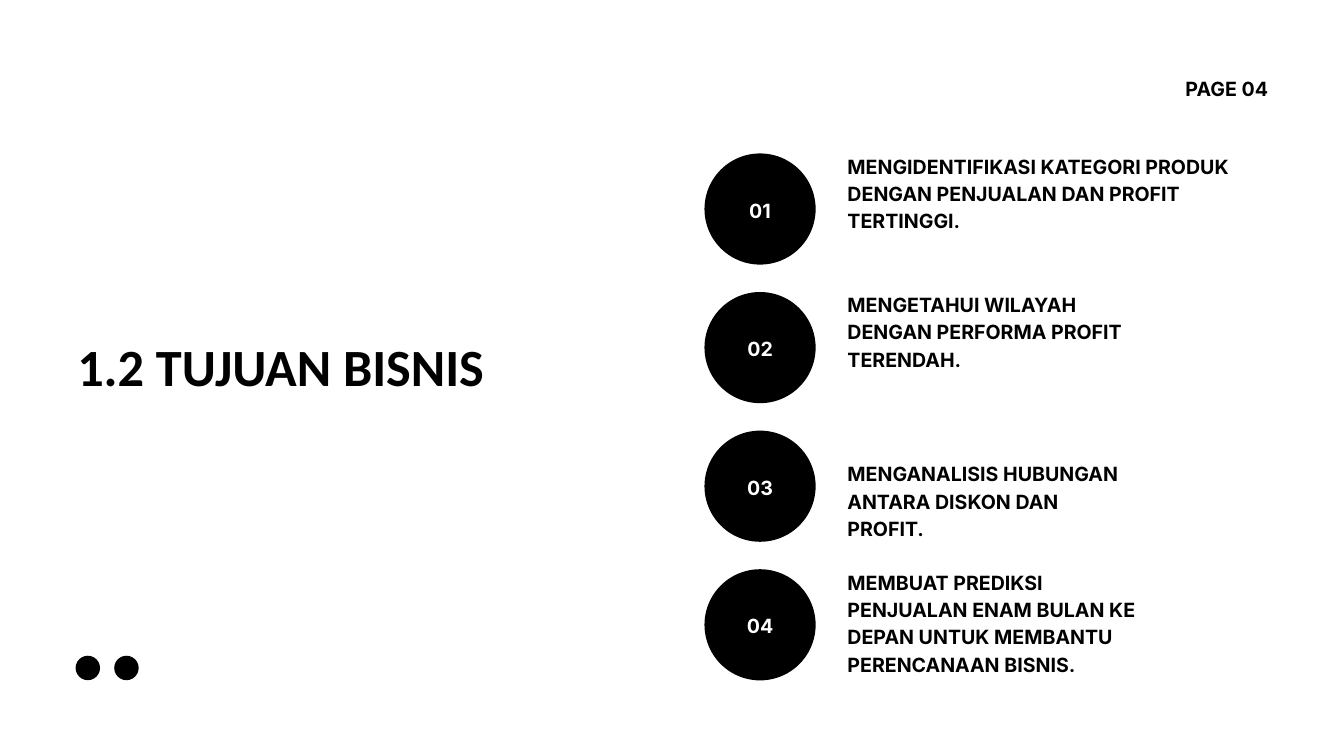
from dataclasses import dataclass

import pptx
import pptx.dml.color
import pptx.enum.shapes
import pptx.enum.text
import pptx.slide
import pptx.util

Pt = pptx.util.Pt
Align = pptx.enum.text.PP_ALIGN

BLACK = pptx.dml.color.RGBColor(0x00, 0x00, 0x00)
WHITE = pptx.dml.color.RGBColor(0xFF, 0xFF, 0xFF)


@dataclass(frozen=True)
class TextStyle:
    font: str
    size: float
    line_spacing: float
    color: pptx.dml.color.RGBColor = BLACK
    alignment: Align = Align.LEFT


@dataclass(frozen=True)
class Goal:
    text: str
    top: float
    height: float
    width: float = 312.5


TITLE = TextStyle("Calibri", 56, 78.4)
BODY = TextStyle("Inter", 21, 29.4)
NUMBER = TextStyle("Inter", 21, 29.4, WHITE, Align.CENTER)
PAGE = TextStyle("Inter", 21, 29.4, BLACK, Align.RIGHT)

GOALS = [
    Goal("MENGIDENTIFIKASI KATEGORI PRODUK DENGAN PENJUALAN DAN PROFIT TERTINGGI.",
         161.3, 86.4, 416.9),
    Goal("MENGETAHUI WILAYAH DENGAN PERFORMA PROFIT TERENDAH.", 309.6, 86.4),
    Goal("MENGANALISIS HUBUNGAN ANTARA DISKON DAN PROFIT.", 491, 57.6),
    Goal("MEMBUAT PREDIKSI PENJUALAN ENAM BULAN KE DEPAN UNTUK MEMBANTU "
         "PERENCANAAN BISNIS.", 607, 115.9),
]

CIRCLE_LEFT, CIRCLE_TOP, CIRCLE_SIZE, CIRCLE_PITCH = 754.8, 164.4, 119.1, 148.5
NUMBER_WIDTH, NUMBER_HEIGHT, NUMBER_OFFSET = 59.6, 28, 44
GOAL_LEFT = 908
DOT_LEFT, DOT_TOP, DOT_SIZE, DOT_PITCH = 81, 702.6, 26.2, 41.4


def add_text(slide: pptx.slide.Slide, text: str, left: float, top: float,
             width: float, height: float, style: TextStyle) -> None:
    shape = slide.shapes.add_textbox(Pt(left), Pt(top), Pt(width), Pt(height))
    frame = shape.text_frame
    frame.margin_left = frame.margin_right = 0
    frame.margin_top = frame.margin_bottom = 0
    frame.word_wrap = True
    frame.auto_size = pptx.enum.text.MSO_AUTO_SIZE.SHAPE_TO_FIT_TEXT
    frame.text = text
    paragraph = frame.paragraphs[0]
    paragraph.alignment = style.alignment
    paragraph.line_spacing = Pt(style.line_spacing)
    font = paragraph.runs[0].font
    font.name = style.font
    font.size = Pt(style.size)
    font.bold = True
    font.color.rgb = style.color


def add_circle(slide: pptx.slide.Slide, left: float, top: float, size: float) -> None:
    shape = slide.shapes.add_shape(pptx.enum.shapes.MSO_SHAPE.OVAL,
                                   Pt(left), Pt(top), Pt(size), Pt(size))
    shape.shadow.inherit = False
    shape.fill.solid()
    shape.fill.fore_color.rgb = BLACK
    shape.line.fill.background()


def add_goal(slide: pptx.slide.Slide, index: int, goal: Goal) -> None:
    top = CIRCLE_TOP + index * CIRCLE_PITCH
    add_text(slide, goal.text, GOAL_LEFT, goal.top, goal.width, goal.height, BODY)
    add_circle(slide, CIRCLE_LEFT, top, CIRCLE_SIZE)
    add_text(slide, f"{index + 1:02d}",
             CIRCLE_LEFT + (CIRCLE_SIZE - NUMBER_WIDTH) / 2, top + NUMBER_OFFSET,
             NUMBER_WIDTH, NUMBER_HEIGHT, NUMBER)


def main() -> None:
    presentation = pptx.Presentation()
    presentation.slide_width = Pt(1440)
    presentation.slide_height = Pt(810)
    slide = presentation.slides.add_slide(presentation.slide_layouts[6])
    slide.background.fill.solid()
    slide.background.fill.fore_color.rgb = WHITE

    # Title
    add_text(slide, "1.2 TUJUAN BISNIS", 82.8, 347, 525.6, 74.2, TITLE)

    # Numbered goals
    for index, goal in enumerate(GOALS):
        add_goal(slide, index, goal)

    # Corner dots
    for index in range(2):
        add_circle(slide, DOT_LEFT + index * DOT_PITCH, DOT_TOP, DOT_SIZE)

    # Page number
    add_text(slide, "PAGE 04", 1249.2, 77.8, 109.4, 28, PAGE)

    presentation.save("out.pptx")


if __name__ == "__main__":
    main()
